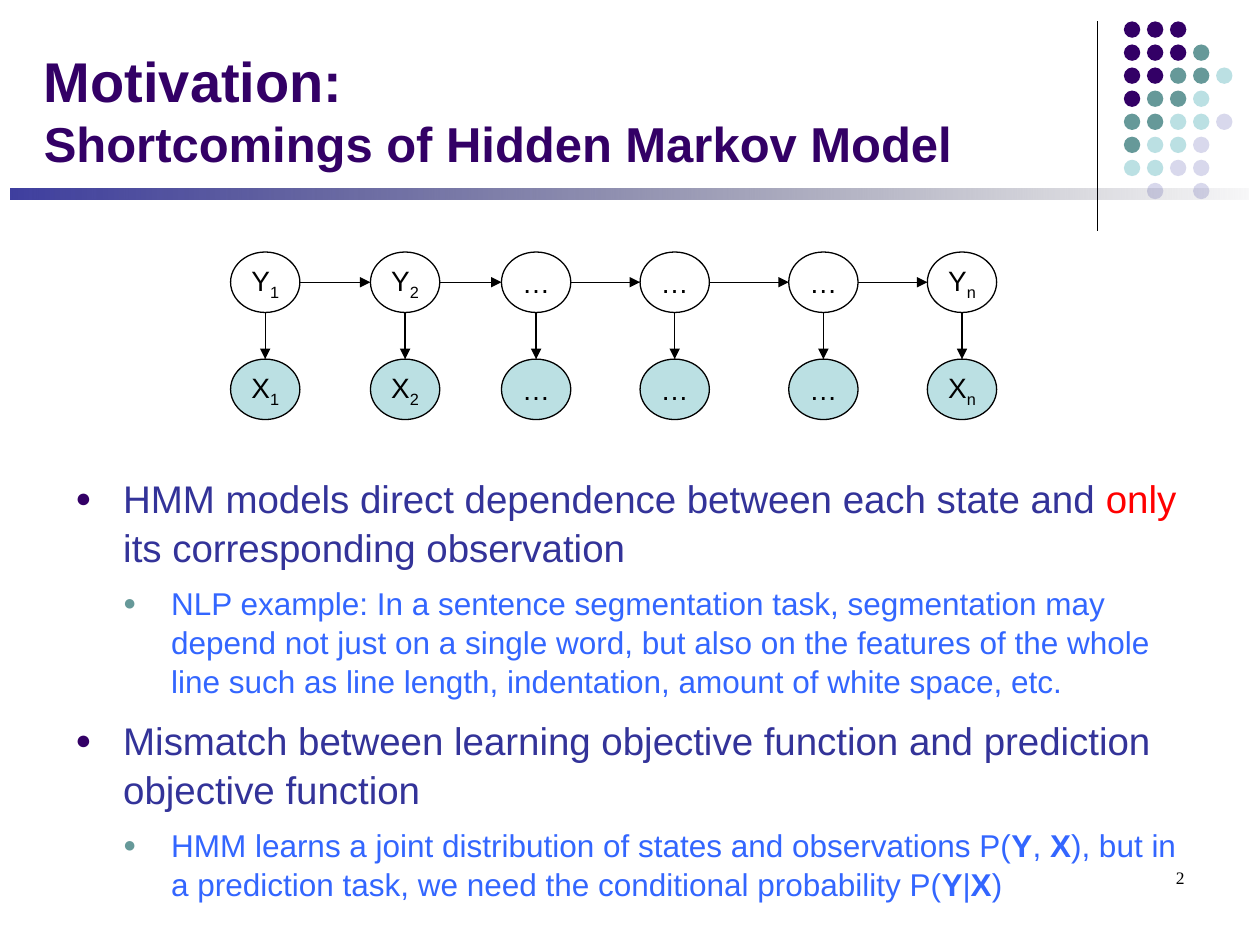
from lxml.etree import SubElement
from pptx import Presentation
from pptx.dml.color import RGBColor
from pptx.enum.shapes import MSO_CONNECTOR as Connector, MSO_SHAPE as Shape
from pptx.enum.text import MSO_ANCHOR as Anchor, PP_ALIGN as Align
from pptx.oxml.ns import qn
from pptx.util import Inches, Pt

PURPLE, TEAL, AQUA, LILAC = "330066", "669999", "BBE0E3", "D8D8EC"
BLACK, WHITE, INDIGO, BLUE, RED = "000000", "FFFFFF", "333399", "3366FF", "FF0000"

DOT_COLORS = {"P": PURPLE, "T": TEAL, "A": AQUA, "L": LILAC}
DOT_ROWS = ["PPP", "PPPT", "PPTTA", "PTTA", "TTAAL", "TAAL", "AALL", " L L"]
DOT_PITCH = 0.183

NODE_LEFTS = [1.83, 2.94, 3.98, 5.08, 6.26, 7.36]
NODE_INDEXES = ["1", "2", None, None, None, "n"]
NODE_WIDTH, NODE_HEIGHT = 0.55, 0.48
STATE_TOP, OBSERVATION_TOP = 2, 2.85

POINTS = [
    (0, [("HMM models direct dependence between each state and ", {}),
         ("only", {"color": RED}),
         (" its corresponding observation", {})]),
    (1, [("NLP example: In a sentence segmentation task, segmentation may depend "
          "not just on a single word, but also on the features of the whole line "
          "such as line length, indentation, amount of white space, etc.", {})]),
    (0, [("Mismatch between learning objective function and prediction "
          "objective function", {})]),
    (1, [("HMM learns a joint distribution of states and observations P(", {}),
         ("Y", {"bold": True}), (", ", {}), ("X", {"bold": True}),
         ("), but in a prediction task, we need the conditional probability P(", {}),
         ("Y", {"bold": True}), ("|", {}), ("X", {"bold": True}), (")", {})]),
]
LEVELS = [
    {"size": 22, "color": INDIGO, "bullet": PURPLE, "before": 8.2, "spacing": 1.06},
    {"size": 18, "color": BLUE, "bullet": TEAL, "before": 6.8, "spacing": 1.04},
]


def rgb(color):
    """Turn a hex string into a colour."""
    return RGBColor.from_string(color)


def add_run(paragraph, text, size, color, bold=False, font="Arial"):
    """Append a formatted run."""
    run = paragraph.add_run()
    run.text = text
    run.font.name, run.font.size, run.font.bold = font, Pt(size), bold
    run.font.color.rgb = rgb(color)
    return run


def add_text_frame(shapes, left, top, width, height, anchor=Anchor.TOP):
    """Add a wrapping text box and return its frame."""
    box = shapes.add_textbox(Inches(left), Inches(top), Inches(width), Inches(height))
    box.text_frame.word_wrap = True
    box.text_frame.vertical_anchor = anchor
    return box.text_frame


def add_plain(shapes, kind, left, top, width, height, color=None, outline=None):
    """Add a flat preset shape."""
    shape = shapes.add_shape(kind, Inches(left), Inches(top), Inches(width), Inches(height))
    shape.shadow.inherit = False
    if color:
        shape.fill.solid()
        shape.fill.fore_color.rgb = rgb(color)
    if outline:
        shape.line.color.rgb = rgb(outline)
        shape.line.width = Pt(0.75)
    else:
        shape.line.fill.background()
    return shape


def add_line(shapes, x1, y1, x2, y2, arrow=False):
    """Add a thin black line, with an arrowhead at its end if asked."""
    line = shapes.add_connector(Connector.STRAIGHT, Inches(x1), Inches(y1), Inches(x2), Inches(y2))
    line.line.color.rgb = rgb(BLACK)
    line.line.width = Pt(0.75)
    if arrow:
        SubElement(line.line._get_or_add_ln(), qn("a:tailEnd"), type="triangle")
    SubElement(line._element.spPr, qn("a:effectLst"))


def add_dots(shapes):
    """Draw the corner grid of dots."""
    for row, codes in enumerate(DOT_ROWS):
        for column, code in enumerate(codes):
            if code in DOT_COLORS:
                add_plain(shapes, Shape.OVAL, 8.92 + column * DOT_PITCH,
                          0.17 + row * DOT_PITCH, 0.13, 0.13, DOT_COLORS[code])


def add_fading_bar(shapes):
    """Draw the bar that fades out to the right."""
    bar = add_plain(shapes, Shape.RECTANGLE, 0.08, 1.5, 9.83, 0.08)
    bar.fill.gradient()
    bar.fill.gradient_angle = 180
    for stop, color in zip(bar.fill.gradient_stops, ["0C0C26", INDIGO]):
        stop.color.rgb = rgb(color)
    tints = bar._element.spPr.findall(".//" + qn("a:srgbClr"))
    for tint, opacity in zip(tints, ["3000", "94000"]):
        SubElement(tint, qn("a:alpha"), val=opacity)


def add_node(shapes, letter, index, left, top, color):
    """Add one variable of the chain, or an ellipsis when it has no index."""
    node = add_plain(shapes, Shape.OVAL, left, top, NODE_WIDTH, NODE_HEIGHT, color, BLACK)
    frame = node.text_frame
    frame.word_wrap = False
    frame.vertical_anchor = Anchor.MIDDLE
    label = frame.paragraphs[0]
    label.alignment = Align.CENTER
    add_run(label, letter if index else "…", 16, BLACK)
    if index:
        subscript = add_run(label, index, 16, BLACK)
        subscript.font._element.set("baseline", "-25000")


def add_markov_chain(shapes):
    """Draw the states, their observations and the arrows between them."""
    for letter, top, color in [("Y", STATE_TOP, WHITE), ("X", OBSERVATION_TOP, AQUA)]:
        for left, index in zip(NODE_LEFTS, NODE_INDEXES):
            add_node(shapes, letter, index, left, top, color)
    middle = STATE_TOP + NODE_HEIGHT / 2
    for left, following in zip(NODE_LEFTS, NODE_LEFTS[1:]):
        add_line(shapes, left + NODE_WIDTH, middle, following, middle, arrow=True)
    for left in NODE_LEFTS:
        center = left + NODE_WIDTH / 2
        add_line(shapes, center, STATE_TOP + NODE_HEIGHT, center, OBSERVATION_TOP, arrow=True)


def add_title(shapes):
    """Add the two-line title."""
    title = add_text_frame(shapes, 0.25, 0.17, 8.25, 1.25, Anchor.BOTTOM).paragraphs[0]
    add_run(title, "Motivation:", 32, PURPLE, bold=True)
    title.add_line_break()
    add_run(title, "Shortcomings of Hidden Markov Model", 28, PURPLE, bold=True)


def set_bullet(paragraph, level, color):
    """Give a paragraph a hanging round bullet."""
    properties = paragraph._p.get_or_add_pPr()
    properties.set("marL", str(Inches(0.38 * (level + 1))))
    properties.set("indent", str(Inches(-0.38)))
    bullet_color = SubElement(properties, qn("a:buClr"))
    SubElement(bullet_color, qn("a:srgbClr"), val=color)
    SubElement(properties, qn("a:buSzPct"), val="70000")
    SubElement(properties, qn("a:buFont"), typeface="Arial")
    SubElement(properties, qn("a:buChar"), char="●")


def add_points(shapes):
    """Add the bulleted text."""
    frame = add_text_frame(shapes, 0.5, 3.7, 9, 3.38)
    for number, (level, parts) in enumerate(POINTS):
        point = frame.add_paragraph() if number else frame.paragraphs[0]
        style = LEVELS[level]
        point.level = level
        set_bullet(point, level, style["bullet"])
        point.line_spacing = style["spacing"]
        if number:
            point.space_before = Pt(style["before"])
        for text, changes in parts:
            add_run(point, text, style["size"], **{"color": style["color"], **changes})


def add_page_number(shapes):
    """Add the page number."""
    number = add_text_frame(shapes, 7.17, 6.83, 2.33, 0.5).paragraphs[0]
    number.alignment = Align.RIGHT
    add_run(number, "2", 10, BLACK, font="Times New Roman")


def main():
    """Build and save the slide."""
    deck = Presentation()
    deck.slide_width, deck.slide_height = Inches(10), Inches(7.5)
    shapes = deck.slides.add_slide(deck.slide_layouts[6]).shapes
    add_line(shapes, 8.71, 0.17, 8.71, 1.83)
    add_dots(shapes.add_group_shape().shapes)
    add_fading_bar(shapes)
    add_title(shapes)
    add_points(shapes)
    add_markov_chain(shapes.add_group_shape().shapes)
    add_page_number(shapes)
    deck.save("out.pptx")


if __name__ == "__main__":
    main()
